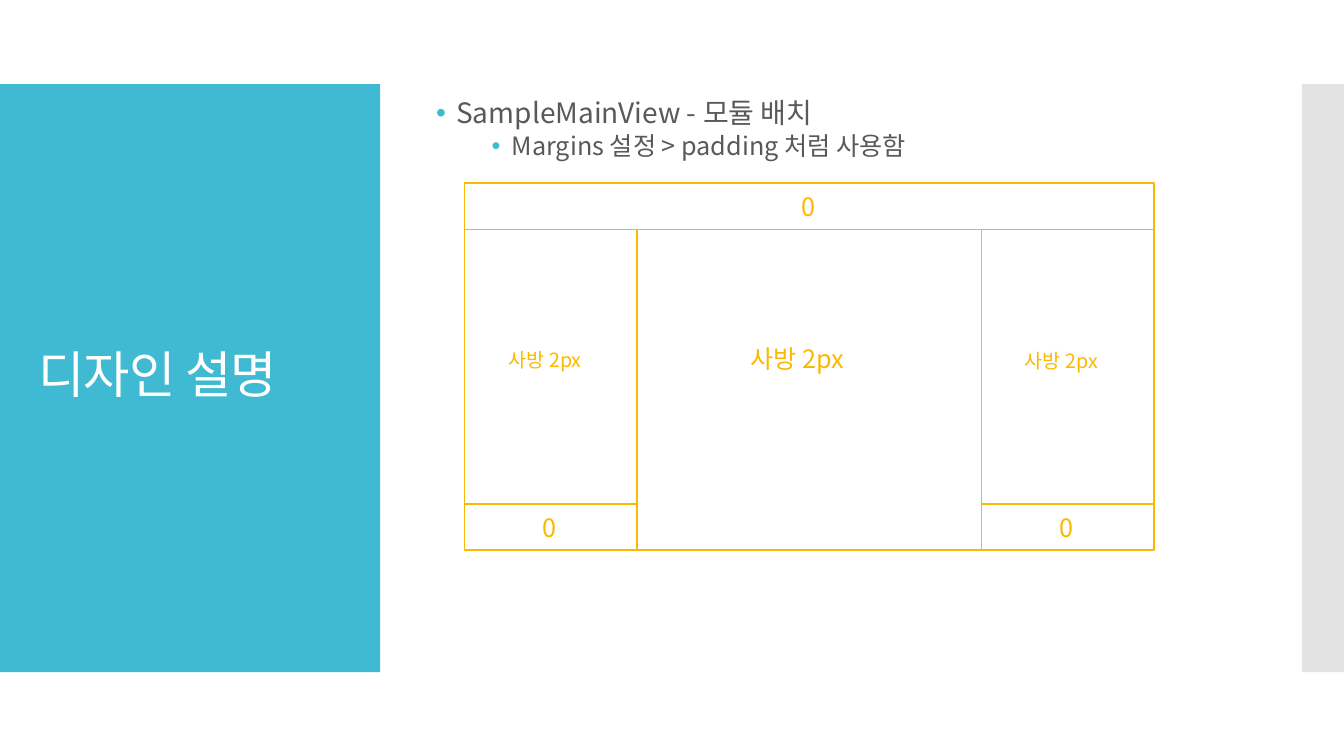
from lxml.etree import SubElement
from pptx import Presentation
from pptx.dml.color import RGBColor
from pptx.enum.shapes import MSO_SHAPE
from pptx.enum.text import MSO_ANCHOR, PP_ALIGN
from pptx.oxml.ns import qn
from pptx.util import Cm, Pt

COLORS = {
    "panel": "40BAD2",
    "strip": "C8C8C8",
    "title": "FFFFFF",
    "body": "595959",
    "module": "FAB900",
}
FONT = "Noto Sans CJK KR"

deck = Presentation()
deck.slide_width, deck.slide_height = Cm(33.87), Cm(19.05)
slide = deck.slides.add_slide(deck.slide_layouts[6])


def add_box(left, top, width, height):
    box = slide.shapes.add_shape(
        MSO_SHAPE.RECTANGLE, Cm(left), Cm(top), Cm(width), Cm(height))
    box.shadow.inherit = False
    return box


def write(paragraph, text, size, color, **paragraph_format):
    """Fill a paragraph with one run in the slide font, Korean letters included."""
    run = paragraph.add_run()
    run.text = text
    run.font.color.rgb = RGBColor.from_string(COLORS[color])
    for name, value in {"size": Pt(size), "name": FONT}.items():
        setattr(run.font, name, value)
    for name, value in paragraph_format.items():
        setattr(paragraph, name, value)
    properties = run._r.get_or_add_rPr()
    SubElement(properties, qn("a:ea"), typeface=FONT)
    return properties


# Side panel and the half-transparent strip on the right
for color, left, width, opacity in (("panel", 0, 9.58, 100), ("strip", 32.81, 1.06, 50)):
    band = add_box(left, 2.12, width, 14.82)
    band.fill.solid()
    band.fill.fore_color.rgb = RGBColor.from_string(COLORS[color])
    band.line.fill.background()
    if opacity < 100:
        tint = band._element.spPr.find(qn("a:solidFill"))[0]
        SubElement(tint, qn("a:alpha"), val=str(opacity * 1000))

# Title
title = slide.shapes.add_textbox(Cm(0.71), Cm(3.12), Cm(8.18), Cm(12.78)).text_frame
title.word_wrap = True
title.vertical_anchor = MSO_ANCHOR.MIDDLE
title_run = write(title.paragraphs[0], "디자인 설명", 36, "title", line_spacing=0.9)
title_run.set("spc", "-60")

# Bulleted explanation
explanation = slide.shapes.add_textbox(Cm(10.74), Cm(2.39), Cm(20.32), Cm(14.33)).text_frame
explanation.word_wrap = True
points = (
    ("SampleMainView - 모듈 배치", 20, 0, 0.51, 12, 0),
    ("Margins 설정 > padding 처럼 사용함", 18, 1, 1.91, 2.5, 2.5),
)
for text, size, level, indent, before, after in points:
    point = explanation.add_paragraph() if level else explanation.paragraphs[0]
    write(point, text, size, "body", level=level, line_spacing=0.9,
          space_before=Pt(before), space_after=Pt(after))
    bullet = point._p.get_or_add_pPr()
    bullet.set("marL", str(Cm(indent)))
    bullet.set("indent", str(-Cm(0.51)))
    bullet_color = SubElement(bullet, qn("a:buClr"))
    SubElement(bullet_color, qn("a:srgbClr"), val=COLORS["panel"])
    SubElement(bullet, qn("a:buFont"), typeface="Arial")
    SubElement(bullet, qn("a:buChar"), char="•")

# Module outlines: first and last column edge, first and last row edge
column_edges = (11.7, 16.05, 24.73, 29.08)
row_edges = (4.61, 5.78, 12.7, 13.86)
modules = (
    (0, 3, 0, 1),
    (0, 1, 1, 2),
    (1, 2, 1, 3),
    (0, 1, 2, 3),
    (2, 3, 1, 2),
    (2, 3, 2, 3),
)
for first_column, last_column, first_row, last_row in modules:
    left, right = column_edges[first_column], column_edges[last_column]
    top, bottom = row_edges[first_row], row_edges[last_row]
    module = add_box(left, top, right - left, bottom - top)
    module.fill.background()
    module.line.color.rgb = RGBColor.from_string(COLORS["module"])
    module.line.width = Pt(1)

# Margin of each module
margins = (
    ("사방 2px", 18.54, 8.53, 3.12, 18, PP_ALIGN.CENTER),
    ("사방 2px", 12.57, 8.64, 3.18, 14, PP_ALIGN.LEFT),
    ("사방 2px", 25.58, 8.66, 2.62, 14, PP_ALIGN.LEFT),
    ("0", 18.82, 4.7, 3.12, 18, PP_ALIGN.CENTER),
    ("0", 12.29, 12.78, 3.12, 18, PP_ALIGN.CENTER),
    ("0", 25.32, 12.78, 3.12, 18, PP_ALIGN.CENTER),
)
for text, left, top, width, size, alignment in margins:
    height = 1.02 if size == 18 else 0.86
    margin = slide.shapes.add_textbox(Cm(left), Cm(top), Cm(width), Cm(height)).text_frame
    margin.word_wrap = True
    write(margin.paragraphs[0], text, size, "module", alignment=alignment)

deck.save("out.pptx")
